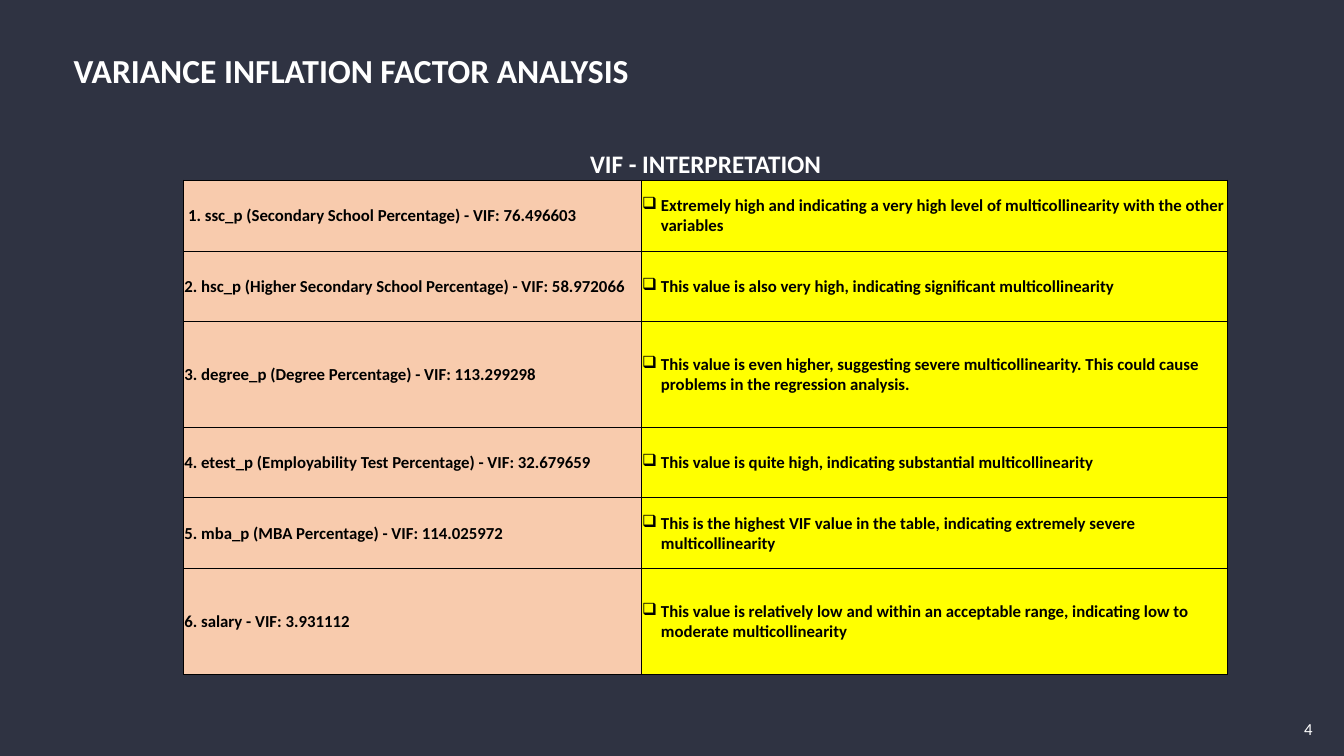
from pptx import Presentation
from pptx.dml.color import RGBColor
from pptx.enum import text as t
from pptx.oxml import parse_xml
from pptx.oxml.ns import nsdecls
from pptx.util import Pt

NAVY = RGBColor(0x2F, 0x33, 0x42)
WHITE = RGBColor(0xFF, 0xFF, 0xFF)
BLACK = RGBColor(0, 0, 0)
PEACH = RGBColor(0xF8, 0xCB, 0xAD)
YELLOW = RGBColor(0xFF, 0xFF, 0)

COLUMN_WIDTHS = (327, 419)
HEADER_HEIGHT, SHORT, TALL = 44.6, 50.4, 75.6
FINDINGS = [
    (" 1. ssc_p (Secondary School Percentage) - VIF: 76.496603",
     "Extremely high and indicating a very high level of multicollinearity with the other variables", SHORT),
    ("2. hsc_p (Higher Secondary School Percentage) - VIF: 58.972066",
     "This value is also very high, indicating significant multicollinearity", SHORT),
    ("3. degree_p (Degree Percentage) - VIF: 113.299298",
     "This value is even higher, suggesting severe multicollinearity. "
     "This could cause problems in the regression analysis.", TALL),
    ("4. etest_p (Employability Test Percentage) - VIF: 32.679659",
     "This value is quite high, indicating substantial multicollinearity", SHORT),
    ("5. mba_p (MBA Percentage) - VIF: 114.025972",
     "This is the highest VIF value in the table, indicating extremely severe multicollinearity", SHORT),
    ("6. salary - VIF: 3.931112",
     "This value is relatively low and within an acceptable range, "
     "indicating low to moderate multicollinearity", TALL),
]


def format_text(frame, content, size, color, bold=False, align=t.PP_ALIGN.LEFT):
    """Write one paragraph into a text frame and return it."""
    frame.text = content
    frame.word_wrap = True
    paragraph = frame.paragraphs[0]
    paragraph.alignment = align
    font = paragraph.font
    font.name, font.size, font.bold = "Calibri", Pt(size), bold
    font.color.rgb = color
    return paragraph


def add_heading(slide):
    """Place and format the slide title."""
    heading = slide.shapes.title
    heading.left, heading.top, heading.width, heading.height = Pt(45.4), Pt(19.4), Pt(497), Pt(64.8)
    paragraph = format_text(heading.text_frame, "VARIANCE INFLATION FACTOR ANALYSIS", 24, WHITE, True)
    paragraph.line_spacing = 0.9
    paragraph.space_before = Pt(10)
    heading.text_frame.vertical_anchor = t.MSO_ANCHOR.MIDDLE


def add_page_number(slide, number):
    """Add the page number in the bottom right corner."""
    page = slide.shapes.add_textbox(Pt(909.4), Pt(504.7), Pt(50.4), Pt(32.4)).text_frame
    format_text(page, number, 12, WHITE, align=t.PP_ALIGN.CENTER)
    page.vertical_anchor = t.MSO_ANCHOR.MIDDLE


def set_borders(cell, visible):
    """Draw thin black lines on the visible sides and none on the others."""
    properties = cell._tc.get_or_add_tcPr()
    for side in "LRTB":
        paint = f'<a:solidFill><a:srgbClr val="{BLACK}"/></a:solidFill>' if side in visible else "<a:noFill/>"
        properties.append(parse_xml(f'<a:ln{side} {nsdecls("a")} w="{Pt(0.5)}">{paint}</a:ln{side}>'))


def add_bullet(paragraph):
    """Give a paragraph a box bullet with a hanging indent."""
    properties = paragraph._p.get_or_add_pPr()
    properties.set("marL", str(Pt(13.5)))
    properties.set("indent", str(-Pt(13.5)))
    properties.append(parse_xml(f'<a:buChar {nsdecls("a")} char="❑"/>'))


def fill_cell(cell, content, fill=None, size=12, color=BLACK, align=t.PP_ALIGN.LEFT,
              anchor=t.MSO_ANCHOR.MIDDLE, borders="LRTB"):
    """Set the text, borders and fill of a table cell and return its paragraph."""
    cell.margin_left = cell.margin_right = cell.margin_top = Pt(0.7)
    cell.margin_bottom = 0
    cell.vertical_anchor = anchor
    set_borders(cell, borders)
    if fill is None:
        cell.fill.background()
    else:
        cell.fill.solid()
        cell.fill.fore_color.rgb = fill
    return format_text(cell.text_frame, content, size, color, True, align)


def add_vif_table(slide):
    """Add the table of VIF values and their interpretation."""
    heights = [HEADER_HEIGHT] + [height for _, _, height in FINDINGS]
    vif = slide.shapes.add_table(len(heights), 2, Pt(131), Pt(84.2),
                                 Pt(sum(COLUMN_WIDTHS)), Pt(sum(heights))).table
    vif.first_row = vif.horz_banding = False
    for column, width in zip(vif.columns, COLUMN_WIDTHS):
        column.width = Pt(width)
    for row, height in zip(vif.rows, heights):
        row.height = Pt(height)
    vif.cell(0, 0).merge(vif.cell(0, 1))
    fill_cell(vif.cell(0, 0), "VIF - INTERPRETATION", size=18, color=WHITE,
              align=t.PP_ALIGN.CENTER, anchor=t.MSO_ANCHOR.BOTTOM, borders="B")
    set_borders(vif.cell(0, 1), "B")
    for index, (variable, meaning, _) in enumerate(FINDINGS, 1):
        fill_cell(vif.cell(index, 0), variable, PEACH)
        add_bullet(fill_cell(vif.cell(index, 1), meaning, YELLOW))


def main():
    """Build and save the slide."""
    deck = Presentation()
    deck.slide_width, deck.slide_height = Pt(960), Pt(540)
    slide = deck.slides.add_slide(deck.slide_layouts[5])
    slide.background.fill.solid()
    slide.background.fill.fore_color.rgb = NAVY
    add_heading(slide)
    add_page_number(slide, "4")
    add_vif_table(slide)
    deck.save("out.pptx")


if __name__ == "__main__":
    main()
